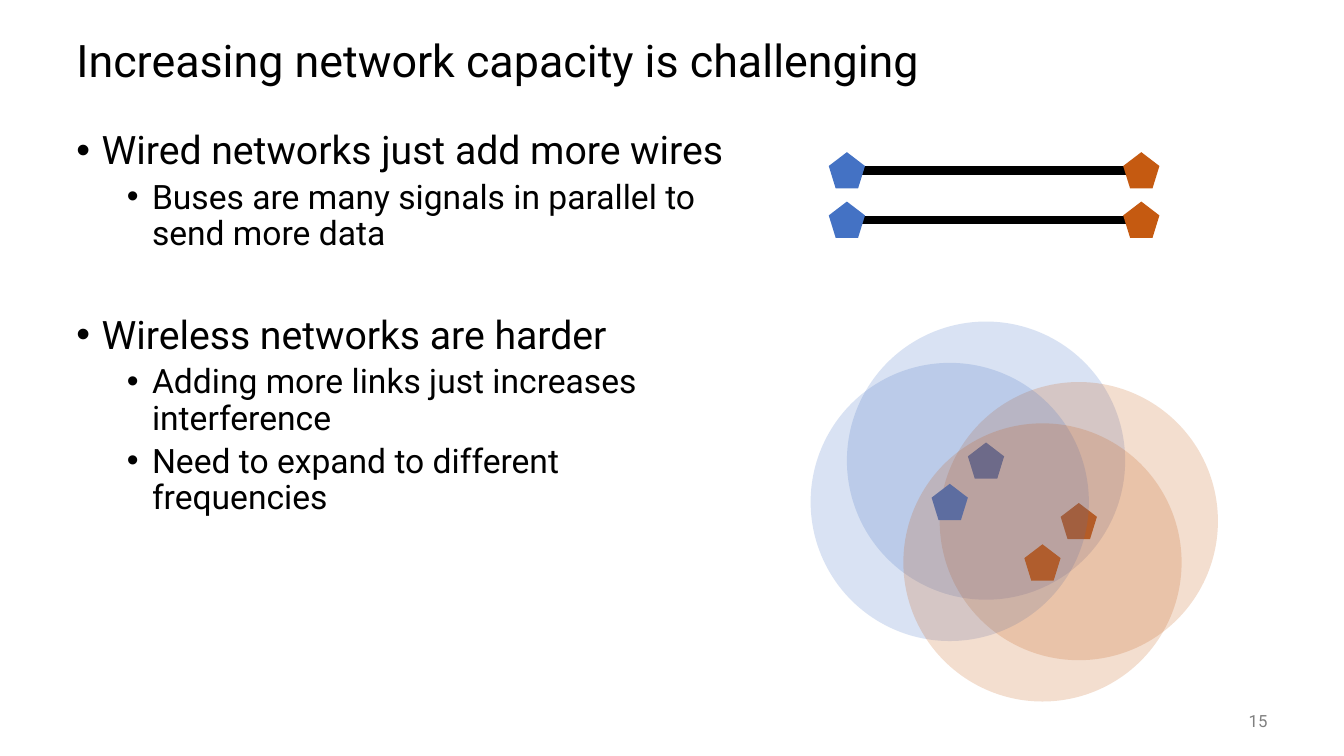
from lxml.etree import SubElement
from pptx import Presentation
from pptx.dml.color import RGBColor
from pptx.enum.shapes import MSO_CONNECTOR, MSO_SHAPE
from pptx.enum.text import MSO_ANCHOR, PP_ALIGN
from pptx.oxml.ns import qn
from pptx.util import Inches, Pt

W, H = 13.33, 7.5
MARGIN = 0.66
FONT = "Roboto"
BLACK, GREY, BLUE, ORANGE = "000000", "808080", "4472C4", "C55A11"
NODE, RANGE = 0.36, 2.76  # diameters of a device and of its radio range

# level: (size, left indent in inches)
LEVELS = [(28, 0.25), (24, 0.75)]
# level, space before, text
BULLETS = [
    (0, 0, "Wired networks just add more wires"),
    (1, 5, "Buses are many signals in parallel to send more data"),
    (0, 44.7, "Wireless networks are harder"),
    (1, 5, "Adding more links just increases interference"),
    (1, 5, "Need to expand to different frequencies"),
]


def rgb(color):
    return RGBColor.from_string(color)


def add_frame(s, box, anchor=MSO_ANCHOR.TOP):
    tf = s.shapes.add_textbox(*map(Inches, box)).text_frame
    tf.word_wrap = True
    tf.vertical_anchor = anchor
    return tf


def add_run(p, text, size, color=BLACK):
    r = p.add_run()
    r.text = text
    r.font.name, r.font.size = FONT, Pt(size)
    r.font.color.rgb = rgb(color)


def set_bullet(p, indent):
    pPr = p._p.get_or_add_pPr()
    pPr.set("marL", str(Inches(indent)))
    pPr.set("indent", str(Inches(-0.25)))
    SubElement(pPr, qn("a:buFont")).set("typeface", "Arial")
    SubElement(pPr, qn("a:buChar")).set("char", "•")


def add_title(s, box, text):
    p = add_frame(s, box, MSO_ANCHOR.MIDDLE).paragraphs[0]
    p.line_spacing = 0.9
    add_run(p, text, 32)


def add_bullets(s, box, items):
    tf = add_frame(s, box)
    for i, (level, before, text) in enumerate(items):
        p = tf.add_paragraph() if i else tf.paragraphs[0]
        size, indent = LEVELS[level]
        p.level = level
        p.line_spacing, p.space_before = 0.9, Pt(before)
        set_bullet(p, indent)
        add_run(p, text, size)


def add_page_number(s, box, number):
    p = add_frame(s, box, MSO_ANCHOR.MIDDLE).paragraphs[0]
    p.alignment = PP_ALIGN.RIGHT
    add_run(p, number, 12, GREY)


def add_centred(s, kind, x, y, size, color, opacity=None):
    box = (x - size / 2, y - size / 2, size, size)
    sp = s.shapes.add_shape(kind, *map(Inches, box))
    sp.shadow.inherit = False
    sp.line.fill.background()
    sp.fill.solid()
    sp.fill.fore_color.rgb = rgb(color)
    if opacity is not None:
        clr = sp._element.spPr.find(qn("a:solidFill"))[0]
        SubElement(clr, qn("a:alpha")).set("val", str(opacity * 1000))


def add_wired_link(s, x, y, length):
    """A wire with a device at each end, starting at (x, y)."""
    line = s.shapes.add_connector(
        MSO_CONNECTOR.STRAIGHT, *map(Inches, (x, y, x + length, y)))
    line.line.color.rgb = rgb(BLACK)
    line.line.width = Pt(6)
    SubElement(line._element.spPr, qn("a:effectLst"))
    for node_x, color in ((x, BLUE), (x + length - 0.03, ORANGE)):
        add_centred(s, MSO_SHAPE.REGULAR_PENTAGON, node_x, y, NODE, color)


def add_wireless_link(s, x, y, dx, dy):
    """Two devices, each in the middle of its radio range."""
    nodes = ((x, y, BLUE), (x + dx, y + dy, ORANGE))
    for nx, ny, color in nodes:
        add_centred(s, MSO_SHAPE.REGULAR_PENTAGON, nx, ny, NODE, color)
    for nx, ny, color in nodes:
        add_centred(s, MSO_SHAPE.OVAL, nx, ny, RANGE, color, 20)


def main():
    prs = Presentation()
    prs.slide_width, prs.slide_height = Inches(W), Inches(H)
    s = prs.slides.add_slide(prs.slide_layouts[6])

    # Text
    add_title(s, (MARGIN, 0.25, 12, 0.75),
              "Increasing network capacity is challenging")
    add_bullets(s, (MARGIN, 1.25, 6.8, 5.5), BULLETS)
    add_page_number(s, (W - MARGIN - 1, 6.95, 1, 0.4), "15")

    # Two links of each kind, the second shifted from the first
    for i in range(2):
        add_wired_link(s, 8.4, 1.69 + 0.49 * i, 2.95)
        add_wireless_link(s, 9.78 - 0.36 * i, 4.57 + 0.41 * i, 0.92, 0.6)

    prs.save("out.pptx")


if __name__ == "__main__":
    main()
